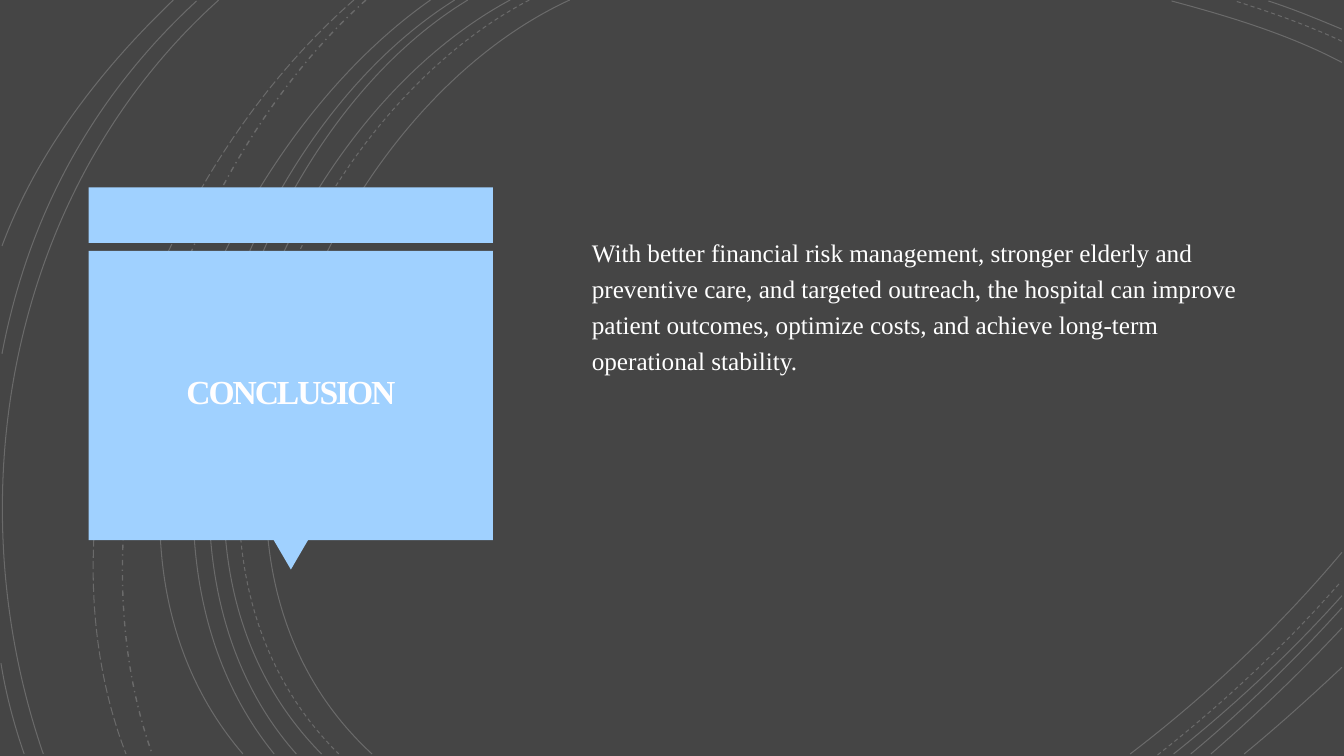
from lxml import etree
from pptx import Presentation
from pptx import util as u
from pptx.dml import color
from pptx.enum import dml, shapes, text
from pptx.oxml import ns

FONT = "Times New Roman"
GREY, BLUE, WHITE, OFF_WHITE = "454545", "A0D1FF", "FFFFFF", "FFFEFF"
SOLID, DASH = dml.MSO_LINE.SOLID, dml.MSO_LINE.DASH
DASH_DOT, LONG_DASH = dml.MSO_LINE.DASH_DOT, dml.MSO_LINE.LONG_DASH

CURVES = [
    (SOLID, [
        ((5.65, 0), (3.15, 1.15), (1.43, 5.4), (3.69, 7.48)),
        ((13.31, 0.62), (12.78, 0.34), (12.18, 0.16), (11.62, 0.01)),
        ((11.21, 7.48), (11.97, 6.9), (12.69, 6.22), (13.31, 5.48)),
    ]),
    (DASH, [
        ((5.25, 0), (2.85, 1.25), (1.23, 5.37), (3.36, 7.48)),
        ((13.31, 0.41), (12.97, 0.25), (12.6, 0.12), (12.25, 0.01)),
        ((11.48, 7.49), (12.13, 6.98), (12.75, 6.4), (13.3, 5.77)),
    ]),
    (SOLID, [
        ((5.06, 0), (2.7, 1.27), (1.1, 5.37), (3.19, 7.48)),
        ((13.31, 0.29), (13.07, 0.19), (12.83, 0.09), (12.58, 0.01)),
        ((11.64, 7.48), (12.23, 7.01), (12.8, 6.48), (13.31, 5.91)),
        ((4.64, 0), (2.44, 1.33), (1.1, 5.41), (2.94, 7.48)),
        ((11.81, 7.48), (12.34, 7.04), (12.84, 6.55), (13.31, 6.03)),
        ((4.51, 0), (2.31, 1.38), (0.97, 5.33), (2.72, 7.48)),
        ((12.01, 7.48), (12.46, 7.09), (12.9, 6.67), (13.31, 6.23)),
        ((4.27, 0), (2.17, 1.47), (0.53, 5.29), (2.41, 7.48)),
        ((12.34, 7.48), (12.67, 7.21), (12.99, 6.92), (13.31, 6.62)),
    ]),
    (DASH_DOT, [((3.63, 0), (1.76, 1.66), (0.65, 5.09), (1.51, 7.48))]),
    (LONG_DASH, [((3.51, 0), (1.57, 1.69), (0.29, 4.99), (1.25, 7.48))]),
    (SOLID, [
        ((2.17, 0), (0.11, 1.85), (-0.46, 4.9), (0.43, 7.48)),
        ((1.95, 0.01), (0.92, 0.96), (0.28, 2.14), (0.02, 3.51)),
        ((0.01, 6.58), (0.06, 6.89), (0.14, 7.19), (0.24, 7.48)),
        ((1.72, 0), (1, 0.69), (0.37, 1.5), (0.02, 2.44)),
    ]),
]

MESSAGE = (
    "With better financial risk management, stronger elderly and preventive care, "
    "and targeted outreach, the hospital can improve patient outcomes, optimize costs, "
    "and achieve long-term operational stability."
)


def paint(target, value):
    target.solid()
    target.fore_color.rgb = color.RGBColor.from_string(value)


def bend(curve):
    outline = curve._element.find(".//" + ns.qn("a:path"))
    bezier = etree.SubElement(outline, ns.qn("a:cubicBezTo"))
    for segment in outline.findall(ns.qn("a:lnTo")):
        bezier.append(segment[0])
        outline.remove(segment)


def add_curve(page, controls, dash):
    points = [tuple(map(u.Inches, point)) for point in controls]
    builder = page.shapes.build_freeform(*points[0])
    builder.add_line_segments(points[1:], close=False)
    curve = builder.convert_to_shape()
    bend(curve)
    curve.shadow.inherit = False
    curve.fill.background()
    paint(curve.line.fill, WHITE)
    curve.line.width = u.Pt(1 if dash == DASH_DOT else 0.75)
    curve.line.dash_style = dash
    tint = curve.line.fill._xPr.find(".//" + ns.qn("a:srgbClr"))
    etree.SubElement(tint, ns.qn("a:alpha")).set("val", "20000")


def add_backdrop(page):
    paint(page.background.fill, GREY)
    for dash, group in CURVES:
        for controls in group:
            add_curve(page, controls, dash)


def add_block(page, kind, left, top, width, height):
    block = page.shapes.add_shape(kind, *map(u.Inches, (left, top, width, height)))
    block.shadow.inherit = False
    paint(block.fill, BLUE)
    block.line.fill.background()
    return block


def set_frame(frame, insets):
    frame.word_wrap = True
    frame.auto_size = text.MSO_AUTO_SIZE.NONE
    frame.vertical_anchor = text.MSO_ANCHOR.MIDDLE
    frame.margin_left, frame.margin_top, frame.margin_right, frame.margin_bottom = map(
        u.Inches, insets
    )


def set_paragraph(para, size, value, spacing):
    para.font.name = FONT
    para.font.size = u.Pt(size)
    paint(para.font.fill, value)
    para.line_spacing = spacing


def add_title_card(page, left, top, width, height):
    band, gap, pointer_width, pointer_height = 0.55, 0.08, 0.35, 0.3
    pad, title_top, title_height = 0.09, 0.08, 2.69
    body_top = top + band + gap
    body_height = height - band - gap - pointer_height
    rectangle = shapes.MSO_SHAPE.RECTANGLE
    add_block(page, rectangle, left, top, width, band)
    pointer = add_block(
        page, shapes.MSO_SHAPE.ISOSCELES_TRIANGLE,
        left + (width - pointer_width) / 2, body_top + body_height - 0.01,
        pointer_width, pointer_height,
    )
    pointer.rotation = 180
    add_block(page, rectangle, left, body_top, width, body_height)

    title = page.shapes.title
    title.left, title.top = u.Inches(left + pad), u.Inches(body_top + title_top)
    title.width, title.height = u.Inches(width - 2 * pad), u.Inches(title_height)
    page.shapes._spTree.append(title._element)
    title.text = "CONCLUSION"
    set_frame(title.text_frame, (0.25,) * 4)
    para = title.text_frame.paragraphs[0]
    para.alignment = text.PP_ALIGN.CENTER
    set_paragraph(para, 24, OFF_WHITE, 0.85)
    para.font.bold = True
    para.runs[0].font._element.set("spc", "-150")


def add_message(page, left, top, width, height):
    box = page.shapes.add_textbox(*map(u.Inches, (left, top, width, height)))
    paint(box.fill, GREY)
    set_frame(box.text_frame, (0.22, 0.05, 0.1, 0.41))
    box.text_frame.text = MESSAGE
    para = box.text_frame.paragraphs[0]
    set_paragraph(para, 18, WHITE, 1.2)
    para.space_before = u.Pt(10)


def main():
    deck = Presentation()
    deck.slide_width, deck.slide_height = u.Inches(13.33), u.Inches(7.5)
    page = deck.slides.add_slide(deck.slide_layouts.get_by_name("Title Only"))
    add_backdrop(page)
    add_title_card(page, 0.88, 1.86, 4.01, 3.8)
    add_message(page, 5.65, 1.86, 6.93, 2.66)
    deck.save("out.pptx")


if __name__ == "__main__":
    main()
